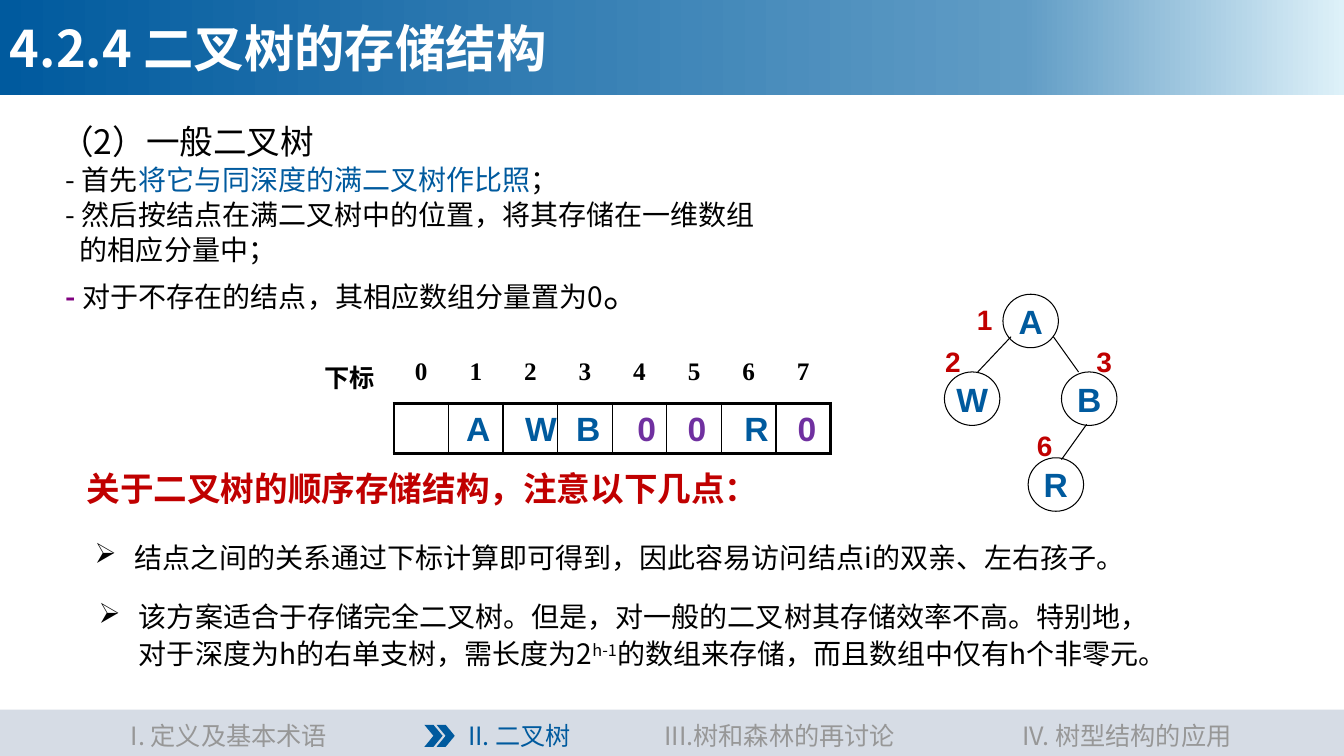
import copy
import dataclasses
import typing

import lxml.etree
import pptx
import pptx.dml.color
import pptx.enum.shapes
import pptx.enum.text
import pptx.oxml.ns
import pptx.util

Pt = pptx.util.Pt
qn = pptx.oxml.ns.qn
Kind = pptx.enum.shapes.MSO_SHAPE
Side = pptx.enum.text.PP_ALIGN
Level = pptx.enum.text.MSO_ANCHOR

HAN, SANS, SERIF = "Noto Sans CJK SC", "Arial", "Times New Roman"
BLACK, WHITE, BLUE, RED = "000000", "FFFFFF", "005A9E", "C00000"
PURPLE, PLUM, GREY, PALE = "7030A0", "800080", "979797", "D6DCE5"


class Box(typing.NamedTuple):
    left: float
    top: float
    width: float
    height: float


@dataclasses.dataclass
class Run:
    text: str
    size: float = 20
    color: str = BLACK
    font: str = HAN
    bold: bool = False
    raised: bool = False


@dataclasses.dataclass
class Para:
    runs: list[Run]
    align: Side = Side.LEFT
    left: float = 0
    first: float = 0
    space: float = 0
    line: float | None = None
    mark: str = ""


class Node(typing.NamedTuple):
    name: str
    left: float
    top: float


class Label(typing.NamedTuple):
    text: str
    box: Box
    run: Run


def rgb(code: str) -> pptx.dml.color.RGBColor:
    return pptx.dml.color.RGBColor.from_string(code)


def pts(box: Box) -> list[int]:
    return [Pt(n) for n in box]


def add_run(line, run: Run) -> None:
    part = line.add_run()
    part.text = run.text
    font = part.font
    font.size, font.bold, font.name = Pt(run.size), run.bold, run.font
    font.color.rgb = rgb(run.color)
    props = part._r.get_or_add_rPr()
    lxml.etree.SubElement(props, qn("a:ea")).set("typeface", HAN)
    if run.raised:
        props.set("baseline", "30000")


def fill_text(frame, paras: list[Para]) -> None:
    for i, para in enumerate(paras):
        line = frame.add_paragraph() if i else frame.paragraphs[0]
        props = line._p.get_or_add_pPr()
        props.set("marL", str(Pt(para.left)))
        props.set("indent", str(Pt(para.first)))
        if para.mark:
            lxml.etree.SubElement(props, qn("a:buChar")).set("char", para.mark)
        line.alignment = para.align
        if para.line:
            line.line_spacing = para.line
        if i:
            line.space_before = Pt(para.space)
        for run in para.runs:
            add_run(line, run)


def add_text(slide, box: Box, paras: list[Para], side: float = 7.2, edge: float = 3.6) -> None:
    """Add a wrapped text box with side and top/bottom insets."""
    frame = slide.shapes.add_textbox(*pts(box)).text_frame
    frame.word_wrap = True
    frame.margin_left = frame.margin_right = Pt(side)
    frame.margin_top = frame.margin_bottom = Pt(edge)
    fill_text(frame, paras)


def add_form(slide, kind: Kind, box: Box, fill: str = ""):
    """Add a plain shape; without a fill it gets a thin black outline."""
    form = slide.shapes.add_shape(kind, *pts(box))
    form.shadow.inherit = False
    if fill:
        form.fill.solid()
        form.fill.fore_color.rgb = rgb(fill)
        form.line.fill.background()
    else:
        form.fill.background()
        form.line.color.rgb = rgb(BLACK)
        form.line.width = Pt(0.75)
    return form


def add_edge(slide, x1: float, y1: float, x2: float, y2: float) -> None:
    edge = slide.shapes.add_connector(
        pptx.enum.shapes.MSO_CONNECTOR.STRAIGHT, *pts((x1, y1, x2, y2)))
    edge.line.color.rgb = rgb(BLACK)
    edge.line.width = Pt(0.75)
    lxml.etree.SubElement(edge._element.spPr, qn("a:effectLst"))


def add_tree(slide) -> None:
    for node in (Node("R", 734.4, 327), Node("A", 716.4, 210.2),
                 Node("B", 758.2, 265.7), Node("W", 674.6, 265.7)):
        form = add_form(slide, Kind.OVAL, Box(node.left, node.top, 39.6, 38.2))
        frame = form.text_frame
        frame.margin_left = frame.margin_right = frame.margin_top = frame.margin_bottom = 0
        frame.word_wrap = False
        frame.vertical_anchor = Level.MIDDLE
        fill_text(frame, [Para([Run(node.name, 24, BLUE, SANS, True)], Side.CENTER)])
    for ends in ((722.2, 240.5, 698.4, 265.7), (752.4, 240.5, 770.4, 265.7),
                 (776.2, 303.1, 758.2, 328.3)):
        add_edge(slide, *ends)
    for text, left, top, width in (("1", 692.6, 216, 21.6), ("2", 674.6, 246.2, 12.2),
                                   ("3", 782.6, 246.2, 12.2), ("6", 740.2, 306, 12.2)):
        run = Run(text, 20, RED, SANS, True)
        add_text(slide, Box(left, top, width, 24.5), [Para([run], Side.CENTER)], 0, 0)


def set_edges(cell, **widths: float) -> None:
    """Set border widths by edge letter; edges not given stay empty."""
    props = cell._tc.get_or_add_tcPr()
    for i, name in enumerate("LRTB"):
        line = lxml.etree.Element(qn(f"a:ln{name}"))
        if name in widths:
            line.set("w", str(Pt(widths[name])))
            paint = lxml.etree.SubElement(line, qn("a:solidFill"))
            lxml.etree.SubElement(paint, qn("a:srgbClr")).set("val", BLACK)
        else:
            lxml.etree.SubElement(line, qn("a:noFill"))
        props.insert(i, line)


def add_array(slide) -> None:
    heads = ["下标", *"01234567"]
    last = len(heads) - 1
    table = slide.shapes.add_table(2, len(heads), *pts(Box(218.2, 252, 375, 72))).table
    table.first_row = table.horz_banding = False
    for row in table.rows:
        row.height = Pt(36)
    for i, head in enumerate(heads):
        table.columns[i].width = Pt(39 if i else 63.2)
        top, slot = table.cell(0, i), table.cell(1, i)
        top.fill.background()
        slot.fill.background()
        fill_text(top.text_frame, [Para([Run(head, 18, BLACK, SERIF, True)], Side.CENTER)])
        if i:
            set_edges(top, B=2.25)
            set_edges(slot, L=2.25 if i == 1 else 1, R=2.25 if i == last else 1, T=2.25, B=2.25)
        else:
            set_edges(top)
            set_edges(slot, R=2.25)
    for text, left in zip("AWB00R0", (332.6, 375.1, 411.1, 452.9, 488.9, 531.4, 567.4)):
        run = Run(text, 24, PURPLE if text == "0" else BLUE, SANS, True)
        add_text(slide, Box(left, 288, 18, 36), [Para([run], Side.CENTER)], 0)


def add_head(slide) -> None:
    band = add_form(slide, Kind.RECTANGLE, Box(0, 0, 960, 67.7), BLUE)
    band.fill.gradient()
    band.fill.gradient_angle = 0
    stops = band._element.spPr.find(".//" + qn("a:gsLst"))
    stops.append(copy.deepcopy(stops[0]))
    for stop, (place, code) in zip(band.fill.gradient_stops,
                                   ((0, BLUE), (0.76, "609CC5"), (1, "DEF1F9"))):
        stop.position, stop.color.rgb = place, rgb(code)
    band.text_frame.vertical_anchor = Level.MIDDLE
    fill_text(band.text_frame, [Para([Run("4.2.4 二叉树的存储结构", 36, WHITE, bold=True)])])


def add_foot(slide) -> None:
    add_form(slide, Kind.RECTANGLE, Box(0, 506.9, 960, 33.1), PALE)
    for text, left, width, color in (
            ("III.树和森林的再讨论", 452.2, 209.5, GREY), ("IV. 树型结构的应用", 717.1, 175.7, GREY),
            ("I. 定义及基本术语", 31, 265, GREY), ("II. 二叉树", 290.9, 160.6, BLUE)):
        add_text(slide, Box(left, 511.2, width, 28.8), [Para([Run(text, 18, color)], Side.CENTER)])
    for left in (311.8, 303.1):
        add_form(slide, Kind.CHEVRON, Box(left, 517.7, 13, 15.8), BLUE)


def main() -> None:
    deck = pptx.Presentation()
    deck.slide_width, deck.slide_height = Pt(960), Pt(540)
    slide = deck.slides.add_slide(deck.slide_layouts[6])
    add_text(slide, Box(36, 82.8, 843.8, 429.8), [
        Para([Run("（2）一般二叉树", 24)]),
        Para([Run("- 首先"), Run("将它与同深度的满二叉树作比照", color=BLUE), Run("；")], left=4, space=1),
        Para([Run("- 然后按结点在满二叉树中的位置，将其存储在一维数组")], left=4, space=1),
        Para([Run("的相应分量中；")], left=14, space=1),
        Para([Run("- ", color=PLUM, bold=True), Run("对于不存在的结点，其相应数组分量置为0"),
              Run("。", 28)], left=4, space=1.4)])
    add_tree(slide)
    add_array(slide)
    add_text(slide, Box(54.7, 330.5, 604, 36),
             [Para([Run("关于二叉树的顺序存储结构，注意以下几点：", 24, RED, bold=True)])])
    add_text(slide, Box(63.4, 422.6, 763.2, 90), [Para([
        Run("该方案适合于存储完全二叉树。但是，对一般的二叉树其存储效率不高。特别地，对于深度为h的右单支树，需长度为2"),
        Run("h-1", raised=True), Run("的数组来存储，而且数组中仅有h个非零元。")],
        left=28.8, first=-28.8, line=1.1, mark="➢")])
    add_text(slide, Box(60.5, 382.3, 759.6, 31.7), [Para(
        [Run("结点之间的关系通过下标计算即可得到，因此容易访问结点i的双亲、左右孩子。")],
        left=28.8, first=-28.8, mark="➢")])
    add_head(slide)
    add_foot(slide)
    deck.save("out.pptx")


if __name__ == "__main__":
    main()
